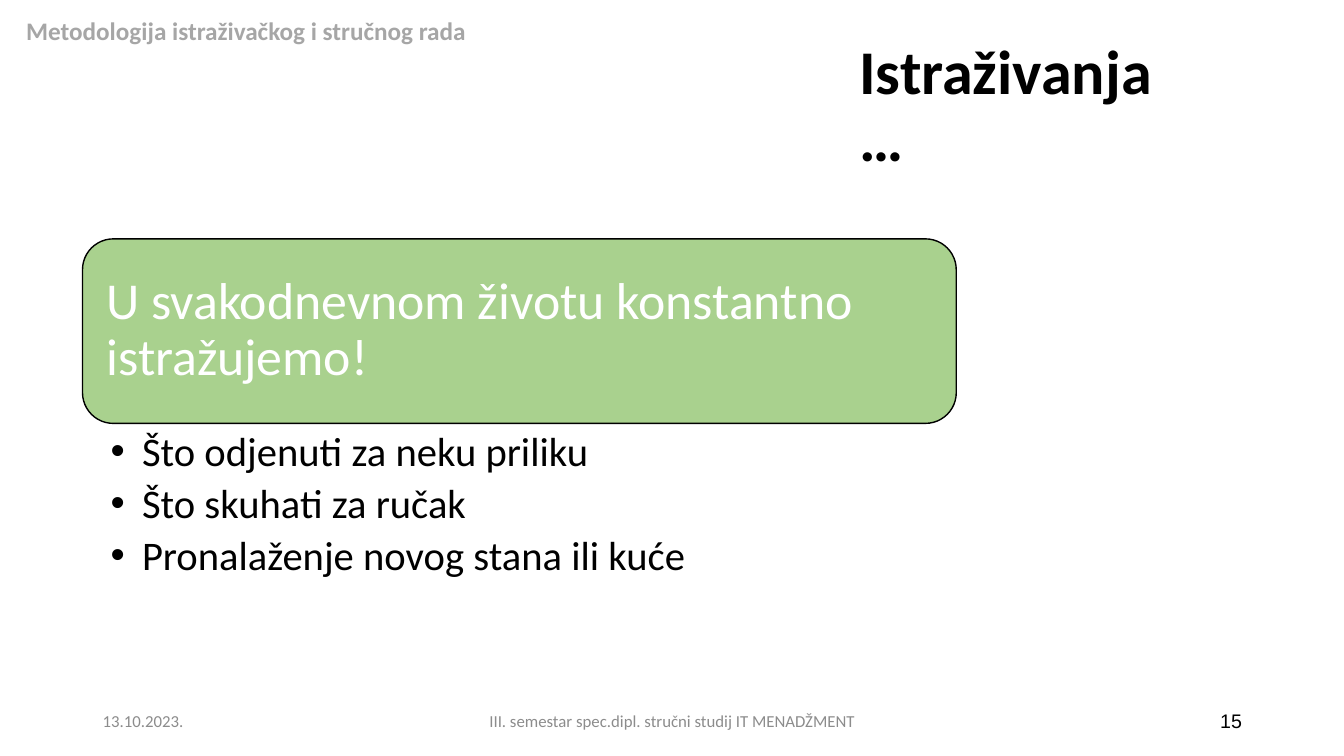
from lxml import etree
from pptx import Presentation
from pptx.dml.color import RGBColor
from pptx.enum.shapes import MSO_SHAPE
from pptx.enum.text import MSO_ANCHOR, PP_ALIGN
from pptx.oxml.ns import qn
from pptx.util import Cm, Pt


def color(value):
    return RGBColor.from_string(value)


def add_text(slide, box, text, size, text_color, bold=False, font="Calibri",
             align=PP_ALIGN.LEFT, anchor=MSO_ANCHOR.MIDDLE):
    """Add a wrapping one-paragraph text box; box is left, top, width, height in cm."""
    shape = slide.shapes.add_textbox(*[Cm(length) for length in box])
    frame = shape.text_frame
    frame.word_wrap = True
    frame.vertical_anchor = anchor
    frame.text = text
    paragraph = frame.paragraphs[0]
    paragraph.alignment = align
    paragraph.font.name = font
    paragraph.font.size = Pt(size)
    paragraph.font.bold = bold
    paragraph.font.color.rgb = color(text_color)
    return frame


presentation = Presentation()
presentation.slide_width = Cm(33.87)
presentation.slide_height = Cm(19.05)
slide = presentation.slides.add_slide(presentation.slide_layouts[6])

# Course name and title
course = add_text(slide, (0.41, 0.25, 11.81, 1.02), "Metodologija istraživačkog i stručnog rada",
                  18, "A6A6A6", bold=True, anchor=MSO_ANCHOR.TOP)
course.word_wrap = False
title = add_text(slide, (21.41, 1.12, 8.56, 3.18), "Istraživanja…", 44.4, "000000", bold=True)
title.paragraphs[0].line_spacing = 0.9

# Green statement
content_left, content_width = Cm(2.08), Cm(22.02)
statement = slide.shapes.add_shape(MSO_SHAPE.ROUNDED_RECTANGLE, content_left, Cm(6.02),
                                   content_width, Cm(4.65))
statement.shadow.inherit = False
statement.fill.solid()
statement.fill.fore_color.rgb = color("A9D18E")
statement.line.color.rgb = color("000000")
statement.line.width = Pt(1)
frame = statement.text_frame
frame.word_wrap = True
frame.vertical_anchor = MSO_ANCHOR.MIDDLE
frame.margin_left = frame.margin_right = frame.margin_top = frame.margin_bottom = Cm(0.38)
frame.text = "U svakodnevnom životu konstantno istražujemo!"
paragraph = frame.paragraphs[0]
paragraph.alignment = PP_ALIGN.LEFT
paragraph.line_spacing = 0.9
paragraph.font.name = "Calibri"
paragraph.font.size = Pt(37)
paragraph.font.color.rgb = color("FFFFFF")

# Everyday examples
examples = ["Što odjenuti za neku priliku", "Što skuhati za ručak", "Pronalaženje novog stana ili kuće"]
frame = slide.shapes.add_textbox(content_left, Cm(10.74), content_width, Cm(5.59)).text_frame
frame.word_wrap = True
frame.margin_left, frame.margin_right = Cm(0.71), Cm(0.74)
frame.text = "\n".join(examples)
for paragraph in frame.paragraphs:
    paragraph.level = 1
    paragraph.line_spacing = 0.9
    paragraph.space_after = Pt(5.8)
    properties = paragraph._p.get_or_add_pPr()
    properties.set("marL", str(Cm(0.79)))
    properties.set("indent", str(-Cm(0.79)))
    etree.SubElement(properties, qn("a:buFont"), typeface="Arial")
    etree.SubElement(properties, qn("a:buChar"), char="•")
    paragraph.font.name = "Calibri"
    paragraph.font.size = Pt(29)
    paragraph.font.color.rgb = color("000000")

# Footer
footer_top, footer_height = 17.65, 1.02
add_text(slide, (2.34, footer_top, 7.62, footer_height), "13.10.2023.", 12, "8C8C8C")
add_text(slide, (11.23, footer_top, 11.43, footer_height),
         "III. semestar spec.dipl. stručni studij IT MENADŽMENT", 12, "8C8C8C", align=PP_ALIGN.CENTER)
add_text(slide, (23.93, footer_top, 7.62, footer_height), "15", 14, "000000",
         font="Arial", align=PP_ALIGN.RIGHT)

presentation.save("out.pptx")
